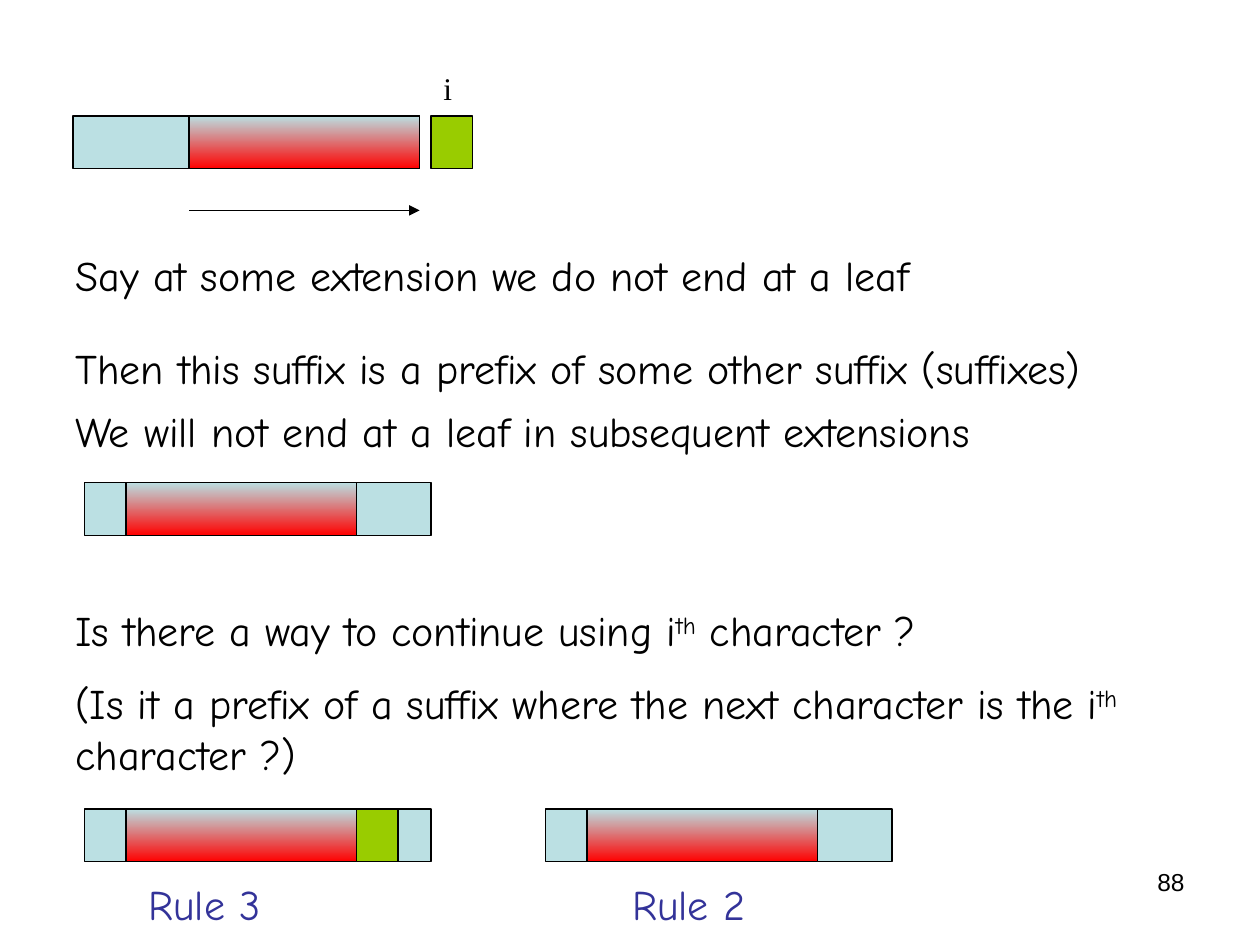
from lxml import etree
from pptx import Presentation, util as u
from pptx.dml.color import RGBColor
from pptx.enum import shapes, text
from pptx.oxml.ns import qn

THEME = dict(
    pale="BBE0E3", red="FF0000", green="99CC00", ink="000000", rule="333399",
    body="Comic Neue", serif="Times New Roman", sans="Arial",
    body_size=24, index_size=18, number_size=14, line=0.75, superscript=30000,
)

BAR_W, BAR_H, SUFFIX_W, CHAR_W = 2.75, 0.42, 1.83, 0.33

# left, top, offset of the suffix, offset of the next character (or None)
BARS = [
    (0.58, 0.92, 0.92, 2.84),
    (0.67, 3.83, CHAR_W, None),
    (0.67, 6.42, CHAR_W, CHAR_W + SUFFIX_W),
    (4.33, 6.42, CHAR_W, None),
]

# top, width, height, runs; a run in a tuple is superscript
STATEMENTS = [
    (1.93, 9.25, 0.5, ["Say at some extension we do not end at a leaf"]),
    (2.67, 9.58, 0.5, ["Then this suffix is a prefix of some other suffix (suffixes)"]),
    (3.17, 9.58, 0.5, ["We will not end at a leaf in subsequent extensions"]),
    (4.75, 9.25, 0.5, ["Is there a way to continue using i", ("th",), " character ?"]),
    (5.33, 9.25, 0.9, ["(Is it a prefix of a suffix where the next character is the i",
                       ("th",), " character ?)"]),
]
RULES = [(1.08, "Rule 3"), (4.92, "Rule 2")]


def rgb(name):
    return RGBColor.from_string(THEME[name])


def add_box(s, left, top, width, fill):
    """Add an outlined box; a pair of colours gives a top-to-bottom gradient."""
    sp = s.shapes.add_shape(shapes.MSO_SHAPE.RECTANGLE, u.Inches(left), u.Inches(top),
                            u.Inches(width), u.Inches(BAR_H))
    sp.shadow.inherit = False
    if isinstance(fill, tuple):
        sp.fill.gradient()
        sp.fill.gradient_angle = 270
        for stop, name, position in zip(sp.fill.gradient_stops, fill, (0, 1)):
            stop.color.rgb = rgb(name)
            stop.position = position
    else:
        sp.fill.solid()
        sp.fill.fore_color.rgb = rgb(fill)
    sp.line.color.rgb = rgb("ink")
    sp.line.width = u.Pt(THEME["line"])


def add_bar(s, left, top, suffix, char):
    add_box(s, left, top, BAR_W, "pale")
    add_box(s, left + suffix, top, SUFFIX_W, ("pale", "red"))
    if char is not None:
        add_box(s, left + char, top, CHAR_W, "green")


def add_arrow(s, x1, x2, y):
    cx = s.shapes.add_connector(shapes.MSO_CONNECTOR.STRAIGHT, u.Inches(x1), u.Inches(y),
                                u.Inches(x2), u.Inches(y))
    cx.line.color.rgb = rgb("ink")
    cx.line.width = u.Pt(THEME["line"])
    etree.SubElement(cx.line._get_or_add_ln(), qn("a:tailEnd"), type="triangle")
    etree.SubElement(cx._element.spPr, qn("a:effectLst"))


def add_text(s, runs, left, top, width, height, font="body", size="body_size",
             color="ink", align=text.PP_ALIGN.LEFT):
    tf = s.shapes.add_textbox(u.Inches(left), u.Inches(top),
                              u.Inches(width), u.Inches(height)).text_frame
    tf.word_wrap = True
    p = tf.paragraphs[0]
    p.alignment = align
    for run in runs:
        r = p.add_run()
        r.text = run[0] if isinstance(run, tuple) else run
        r.font.name = THEME[font]
        r.font.size = u.Pt(THEME[size])
        r.font.color.rgb = rgb(color)
        if isinstance(run, tuple):
            r._r.get_or_add_rPr().set("baseline", str(THEME["superscript"]))


def main():
    prs = Presentation()
    prs.slide_width, prs.slide_height = u.Inches(10), u.Inches(7.5)
    s = prs.slides.add_slide(prs.slide_layouts[6])

    for bar in BARS:
        add_bar(s, *bar)
    left, top, suffix, _ = BARS[0]
    add_arrow(s, left + suffix, left + suffix + SUFFIX_W, top + 0.75)
    add_text(s, ["i"], 3.42, 0.5, 0.42, 0.4, font="serif", size="index_size")

    for top, width, height, runs in STATEMENTS:
        add_text(s, runs, 0.5, top, width, height)
    for left, label in RULES:
        add_text(s, [label], left, 6.92, 1.5, 0.5, color="rule")
    add_text(s, ["88"], 7.17, 6.83, 2.33, 0.52, font="sans", size="number_size",
             align=text.PP_ALIGN.RIGHT)

    prs.save("out.pptx")


if __name__ == "__main__":
    main()
